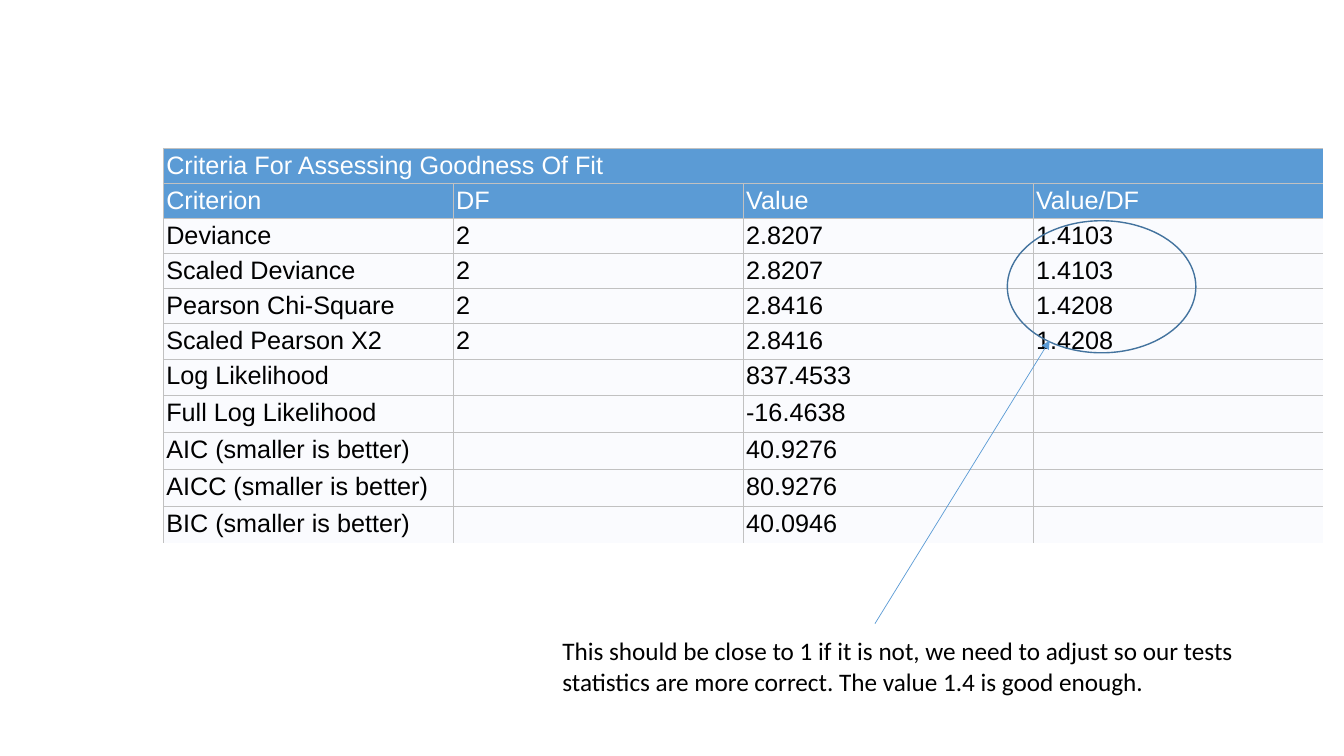
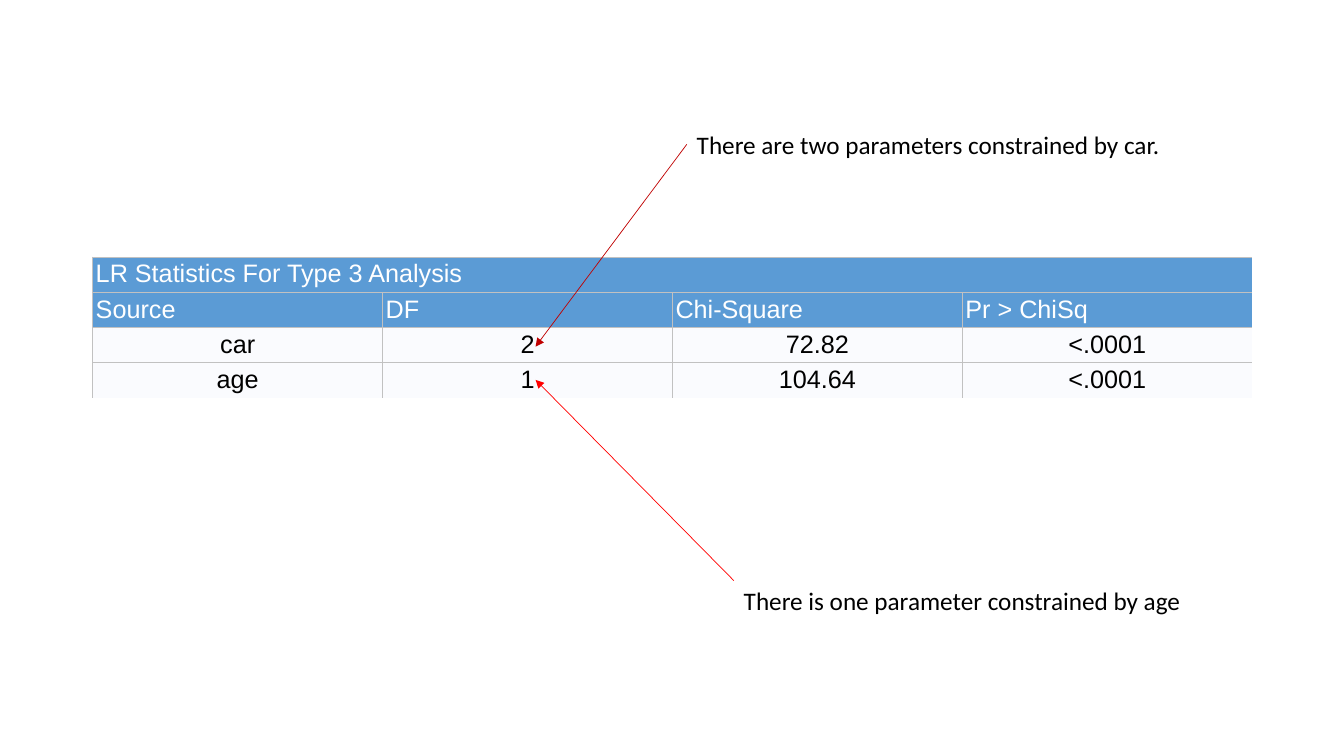
"""Builds two slides of model statistics with annotated tables."""
from lxml import etree
from pptx import Presentation
from pptx.dml.color import RGBColor
from pptx.enum.shapes import MSO_CONNECTOR, MSO_SHAPE
from pptx.enum.text import PP_ALIGN
from pptx.oxml.ns import qn
from pptx.util import Inches, Pt

ELLIPSE = MSO_SHAPE.OVAL
STRAIGHT = MSO_CONNECTOR.STRAIGHT
LEFT, CENTER = PP_ALIGN.LEFT, PP_ALIGN.CENTER
BLANK_LAYOUT = 6

HEADER, BODY, GRID = "5B9BD5", "FAFBFE", "C1C1C1"
WHITE, BLACK = "FFFFFF", "000000"
OUTLINE, DARK_RED, RED = "43739E", "C00000", "FF0000"

COLUMN_SHARE, ROW_SHARE = 21.57, 4.65
HEADER_ROWS = 2
CELL_FONT = {"name": "Arial", "size": Pt(18), "bold": False}
NOTE_FONT = {"name": "Calibri", "size": Pt(18)}
CELL_FORMAT = {f"margin_{side}": Inches(0.03) for side in ("left", "right", "top", "bottom")}
TABLE_FORMAT = {"first_row": False, "horz_banding": False}

FIT_CRITERIA = [
    ["Criteria For Assessing Goodness Of Fit"],
    ["Criterion", "DF", "Value", "Value/DF"],
    ["Deviance", "2", "2.8207", "1.4103"],
    ["Scaled Deviance", "2", "2.8207", "1.4103"],
    ["Pearson Chi-Square", "2", "2.8416", "1.4208"],
    ["Scaled Pearson X2", "2", "2.8416", "1.4208"],
    ["Log Likelihood", "", "837.4533", ""],
    ["Full Log Likelihood", "", "-16.4638", ""],
    ["AIC (smaller is better)", "", "40.9276", ""],
    ["AICC (smaller is better)", "", "80.9276", ""],
    ["BIC (smaller is better)", "", "40.0946", ""],
]
TYPE_3_ANALYSIS = [
    ["LR Statistics For Type 3 Analysis"],
    ["Source", "DF", "Chi-Square", "Pr > ChiSq"],
    ["car", "2", "72.82", "<.0001"],
    ["age", "1", "104.64", "<.0001"],
]


def rgb(value):
    """Turn a hex string into a colour."""
    return RGBColor.from_string(value)


def apply(target, values):
    """Set every format value on the target."""
    for name, value in values.items():
        setattr(target, name, value)


class Deck:
    """Holds the presentation, its style and the current slide."""

    def __init__(self):
        """Start an empty widescreen presentation."""
        self.show = Presentation()
        apply(self.show, {"slide_width": Inches(13.33), "slide_height": Inches(7.5)})
        self.slide = None

    def new_slide(self):
        """Add a blank slide and make it current."""
        self.slide = self.show.slides.add_slide(self.show.slide_layouts[BLANK_LAYOUT])

    def x(self, share):
        """Convert a percentage of the slide width to a length."""
        return round(self.show.slide_width * share / 100)

    def y(self, share):
        """Convert a percentage of the slide height to a length."""
        return round(self.show.slide_height * share / 100)

    def box(self, left, top, width, height):
        """Convert four percentages to a position and size."""
        return self.x(left), self.y(top), self.x(width), self.y(height)

    def label(self, paragraph, text, font, color):
        """Put formatted text in a paragraph."""
        run = paragraph.add_run()
        run.text = text
        apply(run.font, font)
        run.font.color.rgb = rgb(color)

    def border(self, cell, side, visible):
        """Draw or clear one edge of a cell."""
        edge = etree.SubElement(cell._tc.get_or_add_tcPr(), qn(f"a:ln{side}"), w=str(Pt(0.5)))
        if visible:
            fill = etree.SubElement(edge, qn("a:solidFill"))
            etree.SubElement(fill, qn("a:srgbClr"), val=GRID)
        else:
            etree.SubElement(edge, qn("a:noFill"))

    def table(self, left, top, rows, body_align):
        """Add a table with a merged heading and a header row."""
        count, width = len(rows), len(rows[1])
        area = self.box(left, top, COLUMN_SHARE * width, ROW_SHARE * count)
        table = self.slide.shapes.add_table(count, width, *area).table
        apply(table, TABLE_FORMAT)
        for r, values in enumerate(rows):
            table.rows[r].height = self.y(ROW_SHARE)
            is_header = r < HEADER_ROWS
            for c in range(width):
                cell = table.cell(r, c)
                apply(cell, CELL_FORMAT)
                edges = {"L": True, "R": 0 < r and c < width - 1, "T": True, "B": r < count - 1}
                for side, visible in edges.items():
                    self.border(cell, side, visible)
                cell.fill.solid()
                cell.fill.fore_color.rgb = rgb(HEADER if is_header else BODY)
                if c < len(values) and values[c]:
                    paragraph = cell.text_frame.paragraphs[0]
                    paragraph.alignment = LEFT if is_header else body_align
                    self.label(paragraph, values[c], CELL_FONT, WHITE if is_header else BLACK)
        table.cell(0, 0).merge(table.cell(0, width - 1))

    def ring(self, left, top, width, height):
        """Add an unfilled ellipse around values."""
        ring = self.slide.shapes.add_shape(ELLIPSE, *self.box(left, top, width, height))
        ring.shadow.inherit = False
        ring.fill.background()
        ring.line.color.rgb = rgb(OUTLINE)
        ring.line.width = Pt(1)

    def arrow(self, start, end, color):
        """Add a thin arrow between two points."""
        ends = [place(share) for point in (start, end) for place, share in zip((self.x, self.y), point)]
        arrow = self.slide.shapes.add_connector(STRAIGHT, *ends)
        arrow.line.color.rgb = rgb(color)
        arrow.line.width = Pt(0.5)
        properties = arrow.element.spPr
        etree.SubElement(properties.find(qn("a:ln")), qn("a:tailEnd"), type="triangle")
        etree.SubElement(properties, qn("a:effectLst"))

    def note(self, left, top, width, height, *lines):
        """Add a note with one paragraph per line."""
        frame = self.slide.shapes.add_textbox(*self.box(left, top, width, height)).text_frame
        frame.word_wrap = True
        for index, line in enumerate(lines):
            paragraph = frame.add_paragraph() if index else frame.paragraphs[0]
            self.label(paragraph, line, NOTE_FONT, BLACK)


def main():
    """Build and save both slides."""
    deck = Deck()

    deck.new_slide()
    deck.table(12.15, 19.6, FIT_CRITERIA, LEFT)
    deck.ring(74.95, 29.2, 14.03, 17.47)
    deck.arrow((65.1, 82.5), (78.1, 45.05), HEADER)
    deck.note(41.1, 83.45, 53, 9.45,
              "This should be close to 1 if it is not, we need to adjust so our tests",
              "statistics are more correct. The value 1.4 is good enough.")

    deck.new_slide()
    deck.table(6.9, 34, TYPE_3_ANALYSIS, CENTER)
    deck.arrow((51.1, 19.1), (39.85, 45.85), DARK_RED)
    deck.arrow((54.6, 76.8), (39.85, 50.25), RED)
    deck.note(51.1, 16.4, 36.1, 5.35, "There are two parameters constrained by car.")
    deck.note(54.6, 76.8, 34.35, 5.35, "There is one parameter constrained by age")

    deck.show.save("out.pptx")


if __name__ == "__main__":
    main()
